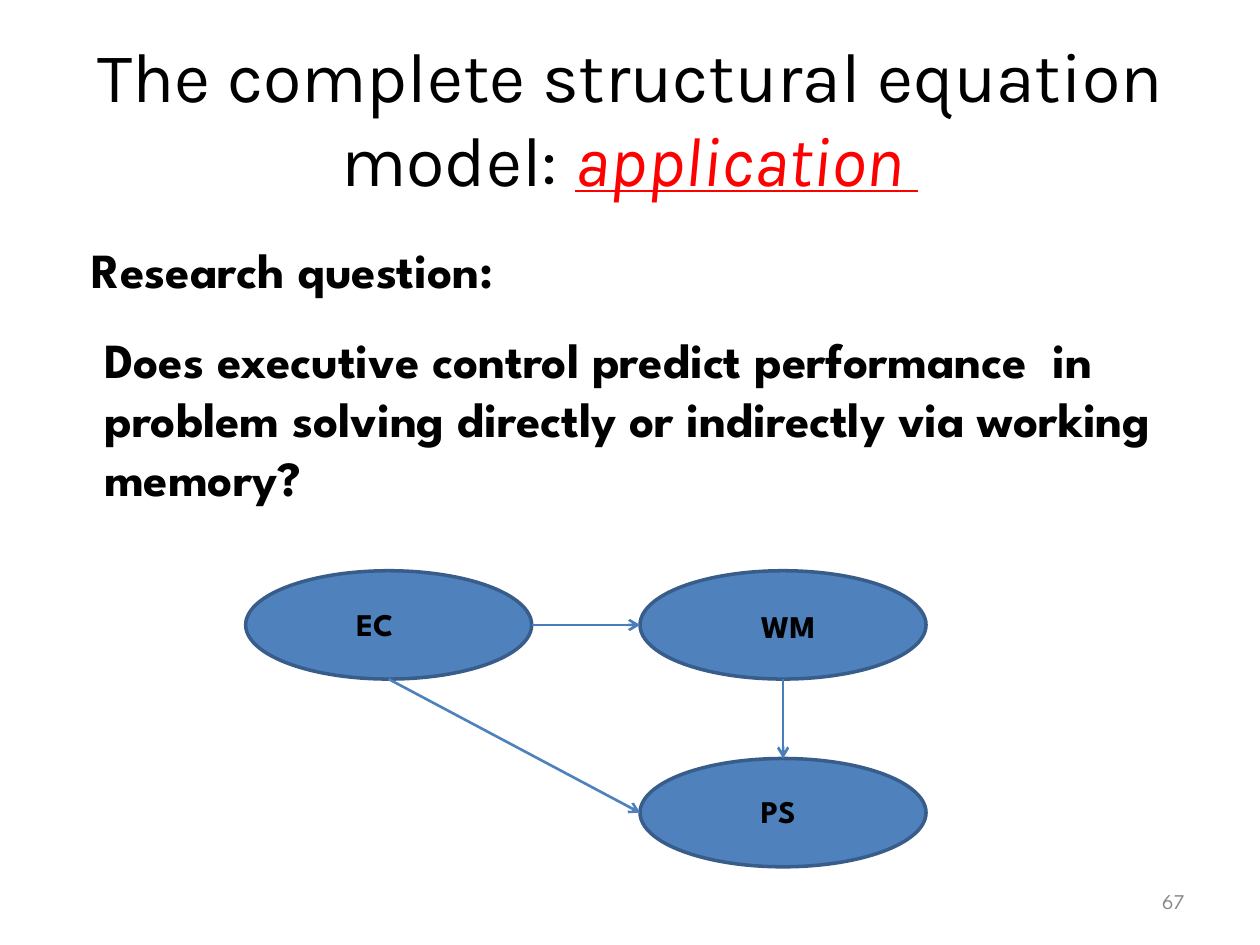
from lxml import etree
from pptx import Presentation
from pptx.dml.color import RGBColor
from pptx.enum.shapes import MSO_CONNECTOR, MSO_SHAPE
from pptx.enum.text import MSO_ANCHOR, PP_ALIGN
from pptx.oxml.ns import qn
from pptx.util import Inches, Pt

STRAIGHT = MSO_CONNECTOR.STRAIGHT
OVAL = MSO_SHAPE.OVAL
TOP, MIDDLE = MSO_ANCHOR.TOP, MSO_ANCHOR.MIDDLE
LEFT, CENTER, RIGHT = PP_ALIGN.LEFT, PP_ALIGN.CENTER, PP_ALIGN.RIGHT

BLACK = RGBColor(0x00, 0x00, 0x00)
RED = RGBColor(0xFF, 0x00, 0x00)
GRAY = RGBColor(0x89, 0x89, 0x89)
BLUE = RGBColor(0x4F, 0x81, 0xBD)
DARK_BLUE = RGBColor(0x38, 0x5D, 0x8A)
ARROW_BLUE = RGBColor(0x4A, 0x7E, 0xBB)

TITLE_FONT = "Karla"
BODY_FONT = "League Spartan"

# Ellipse grid, in inches
OVAL_WIDTH, OVAL_HEIGHT = 2.27, 0.86
COLUMNS = (1.95, 5.08)
ROWS = (4.53, 6.02)


def add_box(slide, left, top, width, height, anchor=TOP):
    box = slide.shapes.add_textbox(
        Inches(left), Inches(top), Inches(width), Inches(height))
    box.text_frame.word_wrap = True
    box.text_frame.vertical_anchor = anchor
    return box.text_frame


def add_span(para, text, size, font=BODY_FONT, color=BLACK, bold=False):
    span = para.add_run()
    span.text = text
    span.font.name = font
    span.font.size = Pt(size)
    span.font.bold = bold
    span.font.color.rgb = color
    return span


def add_title(slide):
    para = add_box(slide, 0.5, 0.3, 9, 1.25, MIDDLE).paragraphs[0]
    para.alignment = CENTER
    add_span(para, "The complete structural equation model: ", 40, TITLE_FONT)
    accent = add_span(para, "application ", 40, TITLE_FONT, RED)
    accent.font.italic = True
    accent.font.underline = True


def add_question(slide):
    frame = add_box(slide, 0.35, 1.85, 9.15, 2.4)
    heading = frame.paragraphs[0]
    question = frame.add_paragraph()
    question.space_before = Pt(18)
    lines = (
        (heading, 0.28, "Research question:"),
        (question, 0.38, "Does executive control predict performance  in "
                         "problem solving directly or indirectly via working memory?"),
    )
    for para, indent, text in lines:
        para._p.get_or_add_pPr().set("marL", str(Inches(indent)))
        add_span(para, text, 28, bold=True)


def add_oval(slide, left, top):
    oval = slide.shapes.add_shape(
        OVAL, Inches(left), Inches(top), Inches(OVAL_WIDTH), Inches(OVAL_HEIGHT))
    oval.shadow.inherit = False
    oval.fill.solid()
    oval.fill.fore_color.rgb = BLUE
    oval.line.color.rgb = DARK_BLUE
    oval.line.width = Pt(2)
    return oval


def add_label(slide, text, left, top):
    para = add_box(slide, left, top, 0.7, 0.4).paragraphs[0]
    add_span(para, text, 18, bold=True)


def left_of(oval):
    return oval.left, oval.top + oval.height // 2


def right_of(oval):
    return oval.left + oval.width, oval.top + oval.height // 2


def top_of(oval):
    return oval.left + oval.width // 2, oval.top


def bottom_of(oval):
    return oval.left + oval.width // 2, oval.top + oval.height


def add_arrow(slide, start, end, color=ARROW_BLUE):
    arrow = slide.shapes.add_connector(STRAIGHT, *start, *end)
    arrow.line.color.rgb = color
    arrow.line.width = Pt(1.5)
    etree.SubElement(arrow.line._get_or_add_ln(), qn("a:tailEnd"), type="arrow")
    etree.SubElement(arrow._element.spPr, qn("a:effectLst"))


def add_path_model(slide):
    # Latent variables
    control = add_oval(slide, COLUMNS[0], ROWS[0])
    memory = add_oval(slide, COLUMNS[1], ROWS[0])
    solving = add_oval(slide, COLUMNS[1], ROWS[1])
    add_label(slide, "EC", 2.73, 4.75)
    add_label(slide, "WM", 5.94, 4.77)
    add_label(slide, "PS", 5.94, 6.24)

    # Indirect path through memory, then the direct path
    add_arrow(slide, right_of(control), left_of(memory))
    add_arrow(slide, bottom_of(memory), top_of(solving))
    add_arrow(slide, bottom_of(control), left_of(solving), BLUE)


def add_page_number(slide):
    para = add_box(slide, 7.17, 6.95, 2.33, 0.4, MIDDLE).paragraphs[0]
    para.alignment = RIGHT
    add_span(para, "67", 12, color=GRAY)


def main():
    deck = Presentation()
    deck.slide_width = Inches(10)
    deck.slide_height = Inches(7.5)
    page = deck.slides.add_slide(deck.slide_layouts[6])
    add_question(page)
    add_page_number(page)
    add_title(page)
    add_path_model(page)
    deck.save("out.pptx")


if __name__ == "__main__":
    main()
